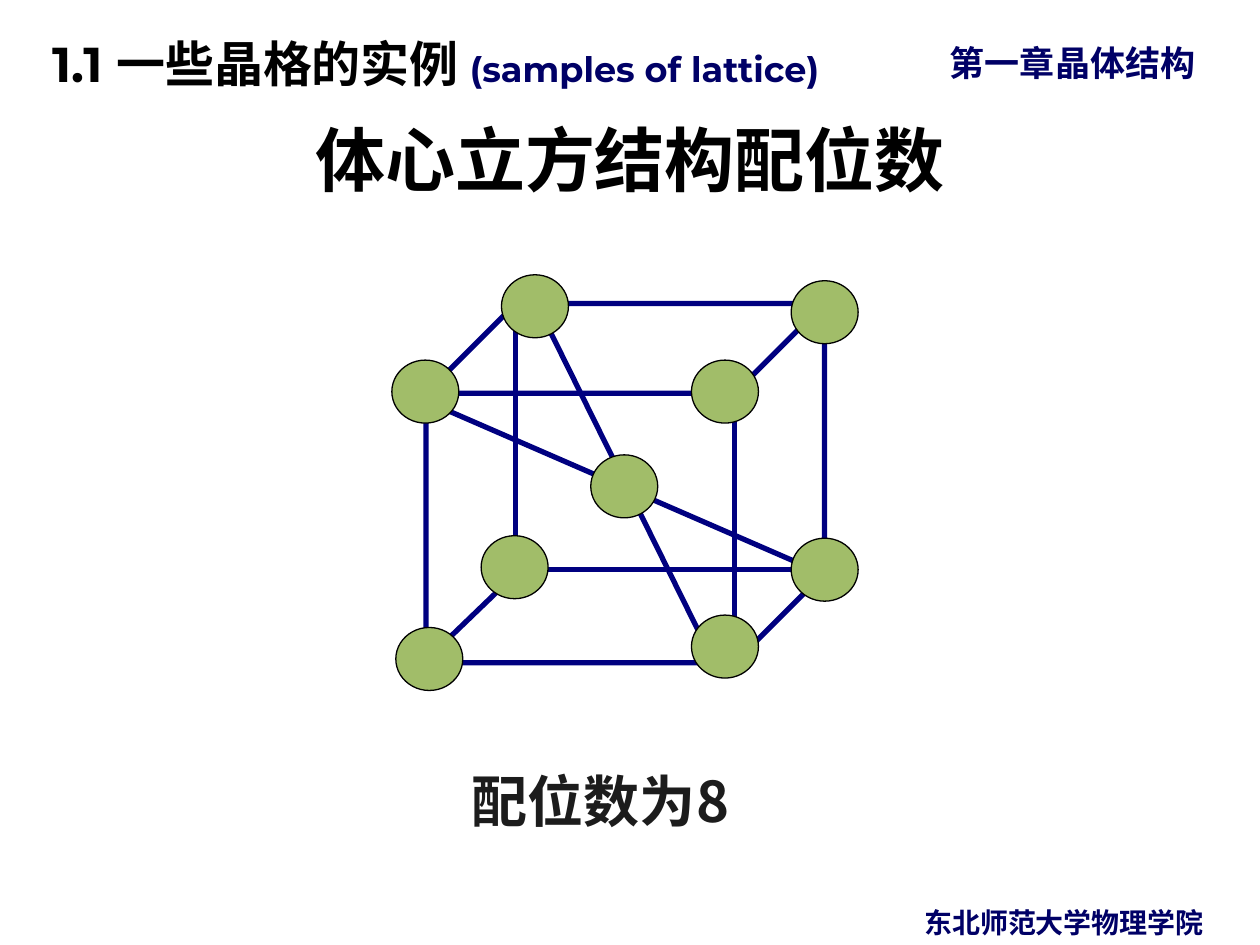
from typing import NamedTuple

from lxml.etree import SubElement
from pptx import Presentation
from pptx.dml.color import RGBColor
from pptx.enum.shapes import MSO_CONNECTOR as Connector, MSO_SHAPE as Shape
from pptx.enum.text import MSO_ANCHOR as Anchor, MSO_AUTO_SIZE as AutoSize, PP_ALIGN as Align
from pptx.oxml.ns import qn
from pptx.util import Cm, Pt

CJK = "Noto Sans CJK SC"
LATIN = "Montserrat"
BLACK, NAVY, EDGE, ATOM, CHARCOAL = "000000", "000066", "000080", "A1BD69", "1C1C1C"
ATOM_WIDTH, ATOM_HEIGHT = 1.35, 1.27


class Span(NamedTuple):
    text: str
    size: int
    color: str
    font: str = CJK


class Label(NamedTuple):
    left: float
    top: float
    width: float
    height: float
    spans: list[Span]
    paragraph: dict = {}
    frame: dict = {}


class Edge(NamedTuple):
    x1: float
    y1: float
    x2: float
    y2: float


class Atom(NamedTuple):
    left: float
    top: float


LABELS = [
    Label(18.9, 0.71, 6.5, 1.09, [Span("第一章晶体结构", 20, NAVY)]),
    Label(0, 0.25, 20.75, 1.75,
          [Span("1.1 一些晶格的实例 ", 28, BLACK, LATIN),
           Span("(samples of lattice)", 20, NAVY, LATIN)],
          {"line_spacing": 1.25},
          {"vertical_anchor": Anchor.MIDDLE, "margin_left": Cm(1.05)}),
    Label(17.5, 18.14, 7.9, 0.94, [Span("东北师范大学物理学院", 16, NAVY)],
          {"alignment": Align.CENTER}),
    Label(7.7, 15.32, 8.81, 1.6, [Span("配位数为8", 32, CHARCOAL)],
          {"alignment": Align.CENTER}),
]
TITLE = Label(1.27, 2.31, 22.86, 1.88, [Span("体心立方结构配位数", 40, BLACK)],
              {"alignment": Align.CENTER, "line_spacing": 0.9},
              {"vertical_anchor": Anchor.BOTTOM})
DIAGONALS = [Edge(8.92, 8.23, 16.28, 11.43), Edge(11.05, 6.6, 14.07, 12.7)]
HIDDEN_EDGES = [
    Edge(10.39, 6.12, 10.39, 11.66),
    Edge(10.39, 11.48, 16.64, 11.48),
    Edge(10.57, 11.4, 8.69, 13.21),
]
ATOMS = [
    Atom(13.94, 12.4), Atom(7.98, 12.65), Atom(15.95, 10.85),
    Atom(9.7, 10.8), Atom(13.94, 7.26), Atom(15.95, 5.66),
    Atom(7.9, 7.26), Atom(10.11, 5.54), Atom(11.91, 9.17),
]


def rgb(color: str) -> RGBColor:
    return RGBColor.from_string(color)


def apply(target, values: dict) -> None:
    for name, value in values.items():
        setattr(target, name, value)


def write(box, label: Label) -> None:
    apply(box, {"left": Cm(label.left), "top": Cm(label.top),
                "width": Cm(label.width), "height": Cm(label.height)})
    frame = box.text_frame
    apply(frame, {"word_wrap": True, "auto_size": AutoSize.NONE, **label.frame})
    para = frame.paragraphs[0]
    apply(para, {"space_before": Pt(0), **label.paragraph})
    for span in label.spans:
        run = para.add_run()
        run.text = span.text
        apply(run.font, {"name": span.font, "size": Pt(span.size), "bold": True})
        run.font.color.rgb = rgb(span.color)
        SubElement(run.font._element, qn("a:ea")).set("typeface", CJK)


def set_line(shape, color: str, width: float) -> None:
    shape.line.color.rgb = rgb(color)
    shape.line.width = Pt(width)


def add_edge(group, edge: Edge) -> None:
    line = group.shapes.add_connector(Connector.STRAIGHT, *(Cm(value) for value in edge))
    set_line(line, EDGE, 3)
    SubElement(line._element.spPr, qn("a:effectLst"))


def add_cube(group) -> None:
    cube = group.shapes.add_shape(Shape.CUBE, Cm(8.59), Cm(6.12), Cm(8.03), Cm(7.24))
    cube.adjustments[0] = 0.25
    cube.shadow.inherit = False
    cube.fill.background()
    set_line(cube, EDGE, 3)


def add_atom(group, atom: Atom) -> None:
    ball = group.shapes.add_shape(Shape.OVAL, Cm(atom.left), Cm(atom.top),
                                  Cm(ATOM_WIDTH), Cm(ATOM_HEIGHT))
    ball.shadow.inherit = False
    ball.fill.solid()
    ball.fill.fore_color.rgb = rgb(ATOM)
    set_line(ball, BLACK, 0.75)


def main() -> None:
    deck = Presentation()
    apply(deck, {"slide_width": Cm(25.4), "slide_height": Cm(19.05)})
    page = deck.slides.add_slide(deck.slide_layouts[5])
    write(page.shapes.title, TITLE)
    for label in LABELS:
        write(page.shapes.add_textbox(0, 0, 0, 0), label)
    lattice = page.shapes.add_group_shape()
    for edge in DIAGONALS:
        add_edge(lattice, edge)
    add_cube(lattice)
    for edge in HIDDEN_EDGES:
        add_edge(lattice, edge)
    for atom in ATOMS:
        add_atom(lattice, atom)
    deck.save("out.pptx")


if __name__ == "__main__":
    main()
